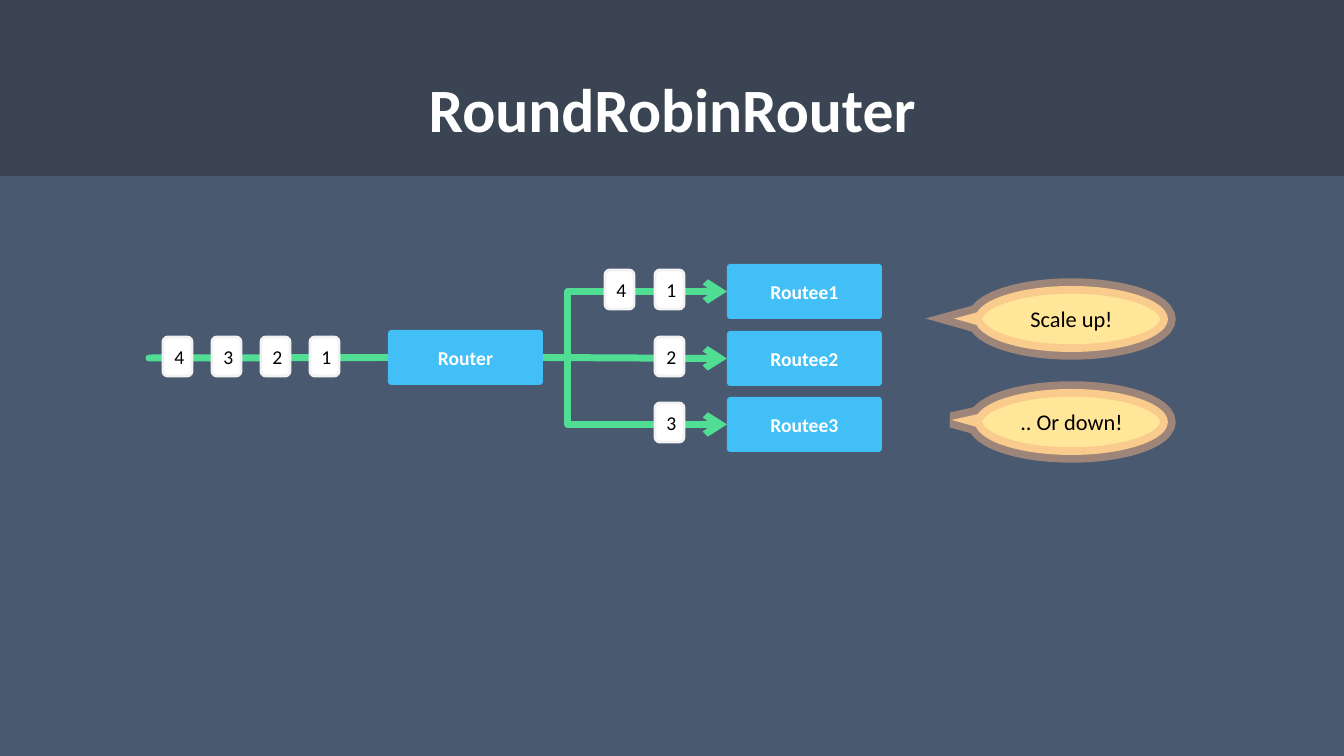
from lxml import etree
from pptx import Presentation
from pptx.dml.color import RGBColor
from pptx.enum import shapes, text
from pptx.oxml import ns
from pptx.util import Emu, Pt

BACKGROUND = RGBColor(0x48, 0x59, 0x70)
BAND = RGBColor(0x26, 0x26, 0x26)
WHITE = RGBColor(0xFF, 0xFF, 0xFF)
BLACK = RGBColor(0, 0, 0)
GREEN = RGBColor(0x50, 0xDE, 0x94)
BLUE = RGBColor(0x43, 0xBF, 0xF7)
CARD_EDGE = RGBColor(0xF2, 0xF2, 0xF2)
YELLOW = RGBColor(0xFF, 0xE6, 0x99)
ORANGE = RGBColor(0xF4, 0xB1, 0x83)

ROUNDED = shapes.MSO_SHAPE.ROUNDED_RECTANGLE
CALLOUT = shapes.MSO_SHAPE.OVAL_CALLOUT
LEFT, RIGHT = 1, 3


def px(count):
    return Emu(round(count * 914400 / 100.8))


def add_child(parent, tag, **attributes):
    return etree.SubElement(parent, ns.qn(tag), attributes)


def set_alpha(fill, percent):
    """Make a solid fill partly transparent."""
    colour = fill._xPr.find(ns.qn("a:solidFill"))[0]
    add_child(colour, "a:alpha", val=str(percent * 1000))


class RouterSlide:
    font = "Calibri"

    def __init__(self, presentation):
        self.slide = presentation.slides.add_slide(presentation.slide_layouts[5])
        self.slide.background.fill.solid()
        self.slide.background.fill.fore_color.rgb = BACKGROUND

    def label(self, frame, words, size, colour, bold=False):
        frame.word_wrap = True
        frame.vertical_anchor = text.MSO_ANCHOR.MIDDLE
        paragraph = frame.paragraphs[0]
        paragraph.text = words
        paragraph.alignment = text.PP_ALIGN.CENTER
        font = paragraph.font
        font.name, font.size, font.bold = self.font, Pt(size), bold
        font.color.rgb = colour
        return paragraph

    def shape(self, kind, box, fill, adjustments=()):
        shape = self.slide.shapes.add_shape(kind, *map(px, box))
        shape.shadow.inherit = False
        shape.fill.solid()
        shape.fill.fore_color.rgb = fill
        shape.line.fill.background()
        for index, value in enumerate(adjustments):
            shape.adjustments[index] = value
        return shape

    def outline(self, shape, colour, width):
        shape.line.color.rgb = colour
        shape.line.width = Pt(width)

    def title(self, words):
        title = self.slide.shapes.title
        title.left, title.top, title.width, title.height = map(px, (93, 40, 1159, 146))
        title.text_frame.auto_size = text.MSO_AUTO_SIZE.NONE
        self.label(title.text_frame, words, 44, WHITE, True).line_spacing = 0.9
        band = self.shape(ROUNDED, (0, 0, 1344, 176), BAND, [0])
        set_alpha(band.fill, 40)
        title._element.addprevious(band._element)

    def actor(self, name, left, top):
        actor = self.shape(ROUNDED, (left, top, 155, 55), BLUE, [0.062])
        self.label(actor.text_frame, name, 14, WHITE, True)
        return actor

    def message(self, number, left, top):
        card = self.shape(ROUNDED, (left, top, 29, 39), WHITE)
        self.outline(card, CARD_EDGE, 2)
        self.label(card.text_frame, number, 14, BLACK)

    def callout(self, words, top, tip):
        bubble = self.shape(CALLOUT, (975, top, 193, 66), YELLOW, tip)
        self.outline(bubble, ORANGE, 11)
        set_alpha(bubble.line.fill, 50)
        add_child(bubble.line._get_or_add_ln(), "a:miter", lim="800000")
        self.label(bubble.text_frame, words, 16, BLACK)

    def flow(self, target, source=None, start=(0, 0), bent=False):
        """Run a green line from a source actor, or a start point, to a target."""
        kind = shapes.MSO_CONNECTOR.ELBOW if bent else shapes.MSO_CONNECTOR.STRAIGHT
        flow = self.slide.shapes.add_connector(kind, *map(px, start + start))
        if source is not None:
            flow.begin_connect(source, RIGHT)
        flow.end_connect(target, LEFT)
        self.outline(flow, GREEN, 5)
        line = flow.line._get_or_add_ln()
        line.set("cap", "rnd")
        add_child(line, "a:round")
        if source is not None:
            add_child(line, "a:tailEnd", type="arrow")
        if bent:
            guides = flow._element.spPr.prstGeom.get_or_add_avLst()
            add_child(guides, "a:gd", name="adj1", fmla="val 13500")
        add_child(flow._element.spPr, "a:effectLst")
        self.slide.shapes.title._element.addnext(flow._element)


def main():
    presentation = Presentation()
    presentation.slide_width, presentation.slide_height = px(1344), px(756)
    page = RouterSlide(presentation)
    page.title("RoundRobinRouter")

    router = page.actor("Router", 388, 330)
    page.flow(router, start=(149, 358))
    for place, number in enumerate("4321"):
        page.message(number, 163 + 49 * place, 337)

    routees = (("Routee1", 264, "14"), ("Routee2", 331, "2"), ("Routee3", 397, "3"))
    for name, top, received in routees:
        routee = page.actor(name, 727, top)
        page.flow(routee, router, bent=name != "Routee2")
        for place, number in enumerate(received):
            page.message(number, 655 - 50 * place, top + 6)

    page.callout("Scale up!", 286, (-0.608, -0.006))
    page.callout(".. Or down!", 389, (-0.621, -0.03))
    presentation.save("out.pptx")


if __name__ == "__main__":
    main()
